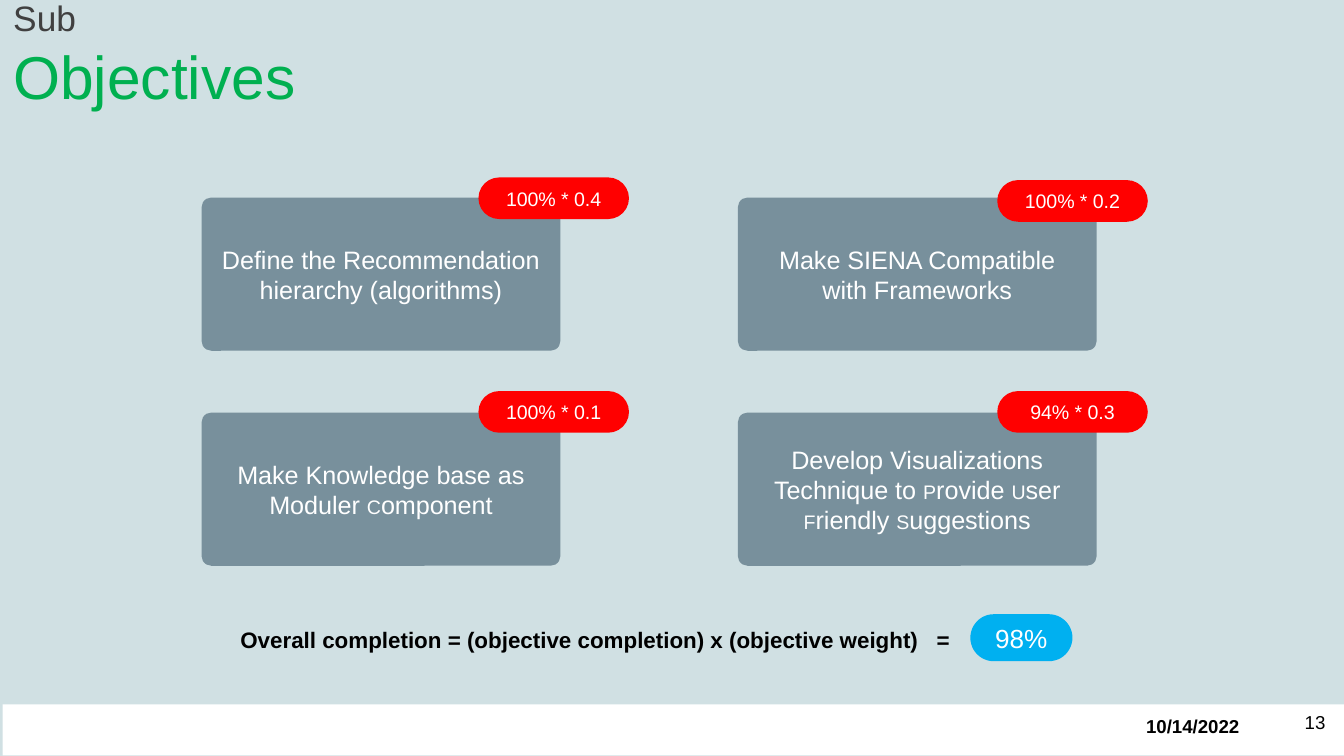
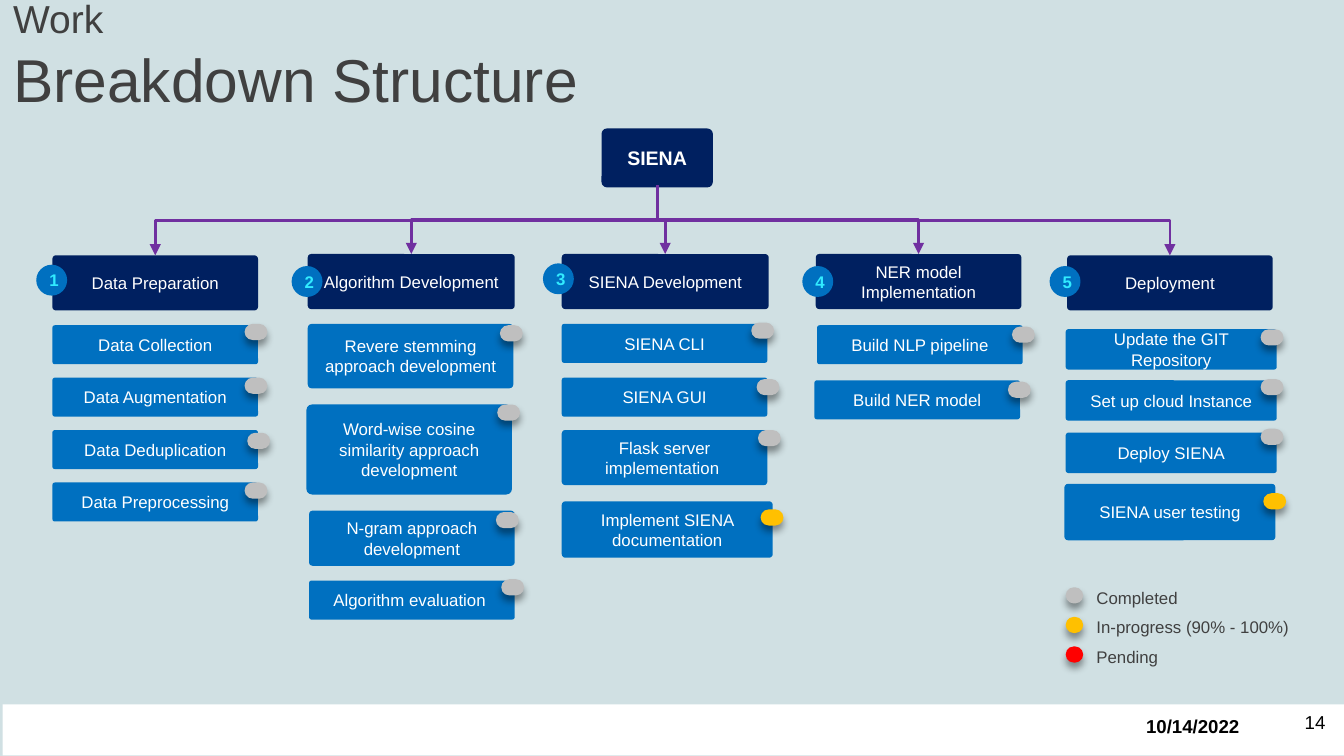
from lxml.etree import SubElement
from pptx import Presentation
from pptx.dml.color import RGBColor
from pptx.enum.shapes import MSO_CONNECTOR, MSO_SHAPE
from pptx.enum.text import MSO_ANCHOR, PP_ALIGN
from pptx.oxml.ns import qn
from pptx.util import Inches, Pt

FONT = "Arial"
BACKGROUND, WHITE, BLACK, GREY_TEXT = "D0E0E3", "FFFFFF", "000000", "404040"
GREEN, SLATE, RED, SKY = "00B050", "78909C", "FF0000", "00B0F0"
NAVY, BLUE, CYAN, PURPLE = "002060", "0070C0", "31EBFF", "7030A0"
DONE, IN_PROGRESS = "BFBFBF", "FFC000"
CORNER, PILL = 0.064, 0.5


def rgb(value):
    return RGBColor.from_string(value)


class Deck:
    """Holds the presentation, its style and the current slide."""

    def __init__(self):
        self.prs = Presentation()
        self.prs.slide_width = Inches(10)
        self.prs.slide_height = Inches(10) * 9 // 16
        self.s = None

    def add_slide(self, number, small, large, top, small_size, large_color):
        self.s = self.prs.slides.add_slide(self.prs.slide_layouts[6])
        fill = self.s.background.fill
        fill.solid()
        fill.fore_color.rgb = rgb(BACKGROUND)
        # Footer band, date and page number
        self.shape(MSO_SHAPE.RECTANGLE, 0.02, 5.24, 9.98, 0.38, WHITE)
        self.text(8.43, 5.27, 0.96, 0.27, "10/14/2022", 10, BLACK, bold=True)
        self.text(9.36, 5.13, 0.6, 0.49, str(number), 10, BLACK,
                  align=PP_ALIGN.RIGHT, anchor=MSO_ANCHOR.MIDDLE, inset=0.1)
        # Title in two lines
        sp = self.text(0, top, 10, 0.94, f"{small}\v{large}", 32.4, large_color,
                       anchor=MSO_ANCHOR.BOTTOM, inset=0.1)
        r = sp.text_frame.paragraphs[0].runs[0]
        r.font.size = Pt(small_size)
        r.font.color.rgb = rgb(GREY_TEXT)

    def style_runs(self, p, size, color, bold=False):
        for r in p.runs:
            r.font.name = FONT
            r.font.size = Pt(size)
            r.font.bold = bold
            r.font.color.rgb = rgb(color)

    def text(self, x, y, w, h, text, size, color, bold=False,
             align=PP_ALIGN.LEFT, anchor=MSO_ANCHOR.TOP, inset=None, tab=None):
        sp = self.s.shapes.add_textbox(Inches(x), Inches(y), Inches(w), Inches(h))
        tf = sp.text_frame
        tf.word_wrap = True
        tf.vertical_anchor = anchor
        if inset is not None:
            tf.margin_left = tf.margin_right = Inches(inset)
            tf.margin_top = tf.margin_bottom = Inches(inset)
        p = tf.paragraphs[0]
        p.text = text
        p.alignment = align
        if tab:
            tabs = SubElement(p._p.get_or_add_pPr(), qn("a:tabLst"))
            SubElement(tabs, qn("a:tab"), pos=str(Inches(tab)), algn="l")
        self.style_runs(p, size, color, bold)
        return sp

    def shape(self, kind, x, y, w, h, fill, corner=None):
        sp = self.s.shapes.add_shape(kind, Inches(x), Inches(y), Inches(w), Inches(h))
        sp.shadow.inherit = False
        sp.fill.solid()
        sp.fill.fore_color.rgb = rgb(fill)
        sp.line.fill.background()
        if corner is not None:
            sp.adjustments[0] = corner
        return sp

    def label(self, sp, text, size, color=WHITE, bold=False):
        """Centred text in a shape; parts between bars are small capitals."""
        tf = sp.text_frame
        tf.word_wrap = True
        tf.vertical_anchor = MSO_ANCHOR.MIDDLE
        p = tf.paragraphs[0]
        p.alignment = PP_ALIGN.CENTER
        for part in text.split("|"):
            p.add_run().text = part
        self.style_runs(p, size, color, bold)
        for r in p.runs[1::2]:
            r.font.size = Pt(10.5)

    def box(self, x, y, w, h, text, fill, size, corner=CORNER, bold=False):
        sp = self.shape(MSO_SHAPE.ROUNDED_RECTANGLE, x, y, w, h, fill, corner)
        self.label(sp, text, size, bold=bold)
        return sp

    def badge(self, x, y, text):
        sp = self.shape(MSO_SHAPE.OVAL, x, y, 0.23, 0.23, BLUE)
        self.label(sp, text, 9, CYAN, bold=True)

    def status(self, x, y, color, w=0.17):
        sp = self.shape(MSO_SHAPE.ROUNDED_RECTANGLE, x, y, w, 0.12, color, PILL)
        effects = sp._element.spPr.find(qn("a:effectLst"))
        shadow = SubElement(effects, qn("a:outerShdw"), blurRad=str(Pt(4)),
                            dist=str(Pt(3)), dir="5400000", rotWithShape="0")
        black = SubElement(shadow, qn("a:srgbClr"), val=BLACK)
        SubElement(black, qn("a:alpha"), val="40000")

    def branch(self, x1, y1, x2, y2):
        """Elbow arrow that leaves downwards: a turned horizontal elbow."""
        cx, cy = (x1 + x2) / 2, (y1 + y2) / 2
        half_w, half_h = (y2 - y1) / 2, abs(x2 - x1) / 2
        rightward = x2 > x1
        if rightward:
            half_w = -half_w
        c = self.s.shapes.add_connector(
            MSO_CONNECTOR.ELBOW, Inches(cx - half_w), Inches(cy - half_h),
            Inches(cx + half_w), Inches(cy + half_h))
        c.line.color.rgb = rgb(PURPLE)
        c.line.width = Pt(1.5)
        spPr = c._element.spPr
        spPr.find(qn("a:xfrm")).set("rot", "16200000" if rightward else "5400000")
        SubElement(spPr.find(qn("a:ln")), qn("a:tailEnd"), type="triangle")
        SubElement(spPr, qn("a:effectLst"))


# Objective, box left and top, weight, weight left and top
OBJECTIVES = [
    ("Define the Recommendation hierarchy (algorithms)", 1.5, 1.47,
     "100% * 0.4", 3.56, 1.32),
    ("Make SIENA Compatible with Frameworks", 5.49, 1.47,
     "100% * 0.2", 7.42, 1.34),
    ("Make Knowledge base as Moduler |C|omponent", 1.5, 3.07,
     "100% * 0.1", 3.56, 2.91),
    ("Develop Visualizations Technique to |P|rovide |U|ser |F|riendly |S|uggestions",
     5.49, 3.07, "94% * 0.3", 7.42, 2.91),
]

# Heading, left, top, width, badge left and top, then the tasks:
# text, left, top, width, height, status left and top, status colour
WORK_PACKAGES = [
    ("Data Preparation", 0.39, 1.9, 1.53, 0.27, 1.97, [
        ("Data Collection", 0.39, 2.42, 1.53, 0.29, 1.82, 2.41, DONE),
        ("Data Augmentation", 0.39, 2.81, 1.53, 0.29, 1.82, 2.81, DONE),
        ("Data Deduplication", 0.39, 3.2, 1.53, 0.29, 1.84, 3.22, DONE),
        ("Data Preprocessing", 0.39, 3.59, 1.53, 0.29, 1.82, 3.59, DONE),
    ]),
    ("Algorithm Development", 2.29, 1.89, 1.54, 2.17, 1.98, [
        ("Revere stemming approach development",
         2.29, 2.41, 1.53, 0.48, 3.72, 2.42, DONE),
        ("Word-wise cosine similarity approach development",
         2.28, 3.01, 1.53, 0.67, 3.7, 3.01, DONE),
        ("N-gram approach development", 2.3, 3.8, 1.53, 0.41, 3.69, 3.81, DONE),
        ("Algorithm evaluation ", 2.3, 4.32, 1.53, 0.29, 3.73, 4.31, DONE),
    ]),
    ("SIENA Development", 4.18, 1.89, 1.54, 4.04, 1.96, [
        ("SIENA CLI", 4.18, 2.41, 1.53, 0.29, 5.59, 2.4, DONE),
        ("SIENA GUI", 4.18, 2.81, 1.53, 0.29, 5.63, 2.82, DONE),
        ("Flask server implementation ", 4.18, 3.2, 1.53, 0.41, 5.64, 3.2, DONE),
        ("Implement SIENA documentation",
         4.18, 3.73, 1.57, 0.42, 5.66, 3.79, IN_PROGRESS),
    ]),
    ("NER model Implementation", 6.07, 1.89, 1.53, 5.97, 1.98, [
        ("Build NLP pipeline", 6.08, 2.42, 1.53, 0.29, 7.53, 2.43, DONE),
        ("Build NER model", 6.06, 2.83, 1.53, 0.29, 7.5, 2.84, DONE),
    ]),
    ("Deployment", 7.94, 1.9, 1.53, 7.81, 1.98, [
        ("Update the GIT Repository", 7.93, 2.45, 1.57, 0.3, 9.38, 2.45, DONE),
        ("Set up cloud Instance", 7.93, 2.83, 1.57, 0.3, 9.38, 2.82, DONE),
        ("Deploy SIENA", 7.93, 3.22, 1.57, 0.3, 9.38, 3.19, DONE),
        ("SIENA user testing", 7.92, 3.6, 1.57, 0.42, 9.4, 3.67, IN_PROGRESS),
    ]),
]

LEGEND = [("Completed", DONE), ("In-progress (90% - 100%)", IN_PROGRESS),
          ("Pending", RED)]


def objectives_slide(deck):
    deck.add_slide(13, "Sub", "Objectives", -0.01, 18.9, GREEN)
    # Objectives with their weights
    for text, x, y, weight, weight_x, weight_y in OBJECTIVES:
        deck.box(x, y, 2.67, 1.14, text, SLATE, 13.5)
        deck.box(weight_x, weight_y, 1.12, 0.31, weight, RED, 10.5, PILL)
    # Overall result
    deck.text(1.69, 4.67, 5.97, 0.18,
              "Overall completion = (objective completion) x (objective weight)\t=",
              12, BLACK, bold=True, anchor=MSO_ANCHOR.MIDDLE, inset=0.1, tab=5.18)
    deck.box(7.22, 4.57, 0.76, 0.35, "98%", SKY, 14, PILL)


def breakdown_slide(deck):
    deck.add_slide(14, "Work", "Breakdown Structure", 0.01, 20.9, GREY_TEXT)
    # Root of the tree
    root = deck.box(4.49, 0.97, 0.8, 0.41, "SIENA", NAVY, 10.5, bold=True)
    root.line.color.rgb = rgb(NAVY)
    root.line.width = Pt(2)
    # One column per work package
    for number, package in enumerate(WORK_PACKAGES, 1):
        heading, x, y, width, badge_x, badge_y, tasks = package
        deck.box(x, y, width, 0.41, heading, NAVY, 9)
        deck.branch(4.89, 1.38, x + width / 2, y)
        deck.badge(badge_x, badge_y, str(number))
        for text, left, top, w, h, status_x, status_y, color in tasks:
            deck.box(left, top, w, h, text, BLUE, 9)
            deck.status(status_x, status_y, color)
    # Legend
    for i, (text, color) in enumerate(LEGEND):
        y = 4.32 + 0.22 * i
        deck.status(7.93, y + 0.05, color, w=0.13)
        deck.text(8.06, y, 1.9, 0.25, text, 9, GREY_TEXT)


def main():
    deck = Deck()
    objectives_slide(deck)
    breakdown_slide(deck)
    deck.prs.save("out.pptx")


if __name__ == "__main__":
    main()
